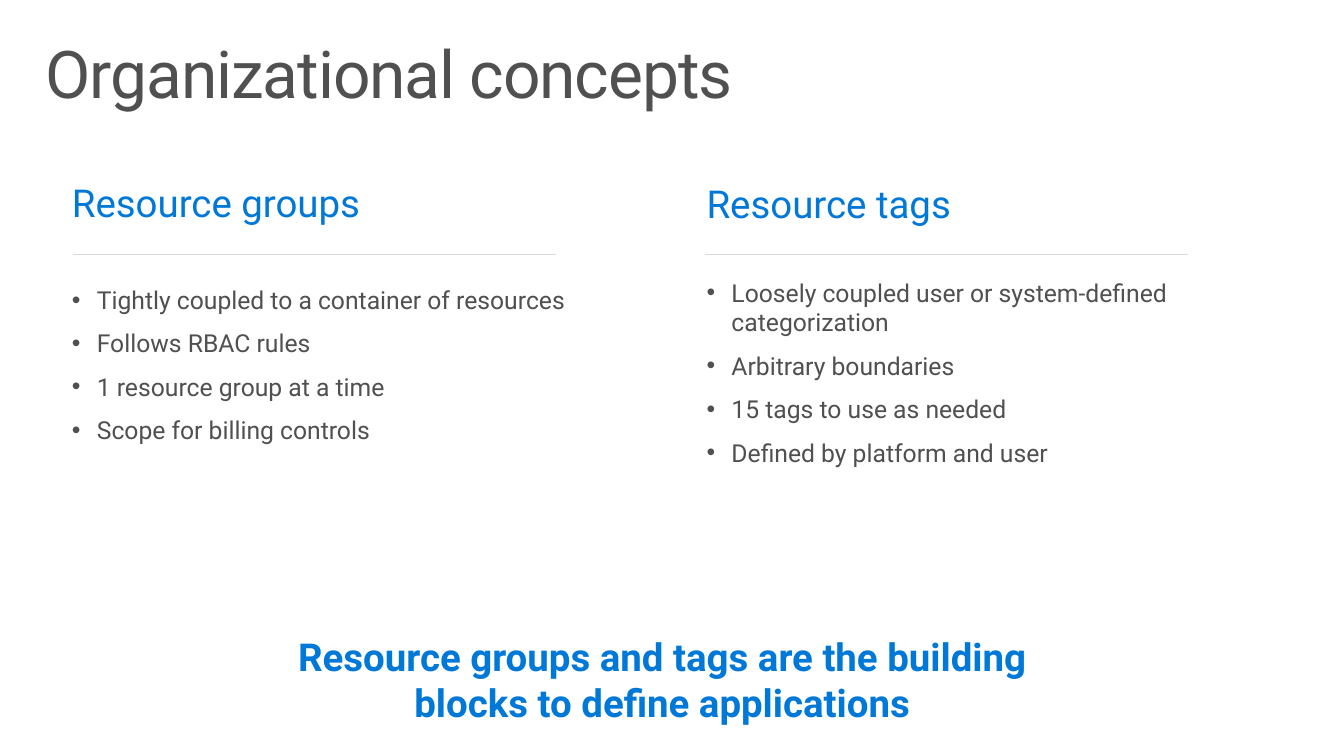
from dataclasses import dataclass

from lxml.etree import SubElement as Sub
from pptx import Presentation
from pptx.dml.color import RGBColor as Rgb
from pptx.enum.shapes import MSO_CONNECTOR as Link
from pptx.enum.text import MSO_ANCHOR as Anchor, MSO_AUTO_SIZE as Fit, PP_ALIGN as Align
from pptx.oxml.ns import qn
from pptx.util import Cm, Pt

TITLE = "Organizational concepts"
CLAIM = "Resource groups and tags are the building blocks to define applications"
COLUMNS = [
    {
        "head": "Resource groups",
        "items": [
            "Tightly coupled to a container of resources",
            "Follows RBAC rules",
            "1 resource group at a time",
            "Scope for billing controls",
        ],
        "box": (1.6, 4.47, 14.17, 7.57),
        "inset": (0.25, 0.13),
        "gap": 43.4,
        "rule": 1.88,
    },
    {
        "head": "Resource tags",
        "items": [
            "Loosely coupled user or system-defined categorization",
            "Arbitrary boundaries",
            "15 tags to use as needed",
            "Defined by platform and user",
        ],
        "box": (17.65, 4.22, 14.86, 8.89),
        "inset": (0.51, 0.41),
        "gap": 37.4,
        "rule": 18.11,
    },
]
TITLE_BOX = (0.76, 0.81, 32.51, 2.54)
CLAIM_BOX = (6.32, 15.85, 21.39, 1.75)
RULE_TOP, RULE_LEN = 6.53, 12.42
INDENT = Cm(0.64)


@dataclass(frozen=True)
class Theme:
    """Colours, font and type sizes in points."""
    font: str = "Roboto"
    ink: Rgb = Rgb(0x50, 0x50, 0x50)
    blue: Rgb = Rgb(0x00, 0x78, 0xD7)
    line: Rgb = Rgb(0xD9, 0xD9, 0xD9)
    title: int = 48
    head: int = 28
    body: int = 18
    space: int = 10
    stroke: float = 0.25


LOOK = Theme()


def set_frame(shape, inset):
    """Set wrapping, anchor and margins, and return the text frame."""
    frame = shape.text_frame
    frame.word_wrap = True
    frame.auto_size = Fit.NONE
    frame.vertical_anchor = Anchor.TOP
    frame.margin_left = frame.margin_right = Cm(inset[0])
    frame.margin_top = frame.margin_bottom = Cm(inset[1])
    return frame


def add_run(para, text, size, color, bold=False):
    """Add one styled run to a paragraph."""
    run = para.add_run()
    run.text = text
    font = run.font
    font.name, font.size, font.bold = LOOK.font, Pt(size), bold
    font.color.rgb = color
    return run


def add_box(slide, box, inset):
    """Add a text box and return its frame."""
    return set_frame(slide.shapes.add_textbox(*map(Cm, box)), inset)


def add_item(frame, text, space):
    """Add one bulleted line."""
    para = frame.add_paragraph()
    para.space_before = Pt(space)
    props = para._p.get_or_add_pPr()
    props.set("marL", str(INDENT))
    props.set("indent", str(-INDENT))
    Sub(props, qn("a:buFont"), typeface="Arial")
    Sub(props, qn("a:buChar"), char="•")
    add_run(para, text, LOOK.body, LOOK.ink)


def add_column(slide, col):
    """Add a heading, its list and the rule between them."""
    frame = add_box(slide, col["box"], col["inset"])
    add_run(frame.paragraphs[0], col["head"], LOOK.head, LOOK.blue)
    for i, text in enumerate(col["items"]):
        add_item(frame, text, LOOK.space if i else col["gap"])
    left, top = Cm(col["rule"]), Cm(RULE_TOP)
    rule = slide.shapes.add_connector(Link.STRAIGHT, left, top, left + Cm(RULE_LEN), top)
    rule.line.color.rgb = LOOK.line
    rule.line.width = Pt(LOOK.stroke)
    Sub(rule._element.spPr, qn("a:effectLst"))


def add_title(slide):
    """Place and fill the title."""
    title = slide.shapes.title
    title.left, title.top, title.width, title.height = map(Cm, TITLE_BOX)
    para = set_frame(title, (0.41, 0.25)).paragraphs[0]
    para.alignment = Align.LEFT
    para.line_spacing = 0.9
    run = add_run(para, TITLE, LOOK.title, LOOK.ink)
    run.font._element.set("spc", "-80")


def main():
    """Build and save the slide."""
    deck = Presentation()
    deck.slide_width, deck.slide_height = Cm(34.54), Cm(19.43)
    slide = deck.slides.add_slide(deck.slide_layouts[5])
    add_title(slide)
    for col in COLUMNS:
        add_column(slide, col)
    para = add_box(slide, CLAIM_BOX, (0.51, 0.41)).paragraphs[0]
    para.alignment = Align.CENTER
    add_run(para, CLAIM, LOOK.head, LOOK.blue, bold=True)
    deck.save("out.pptx")


if __name__ == "__main__":
    main()
